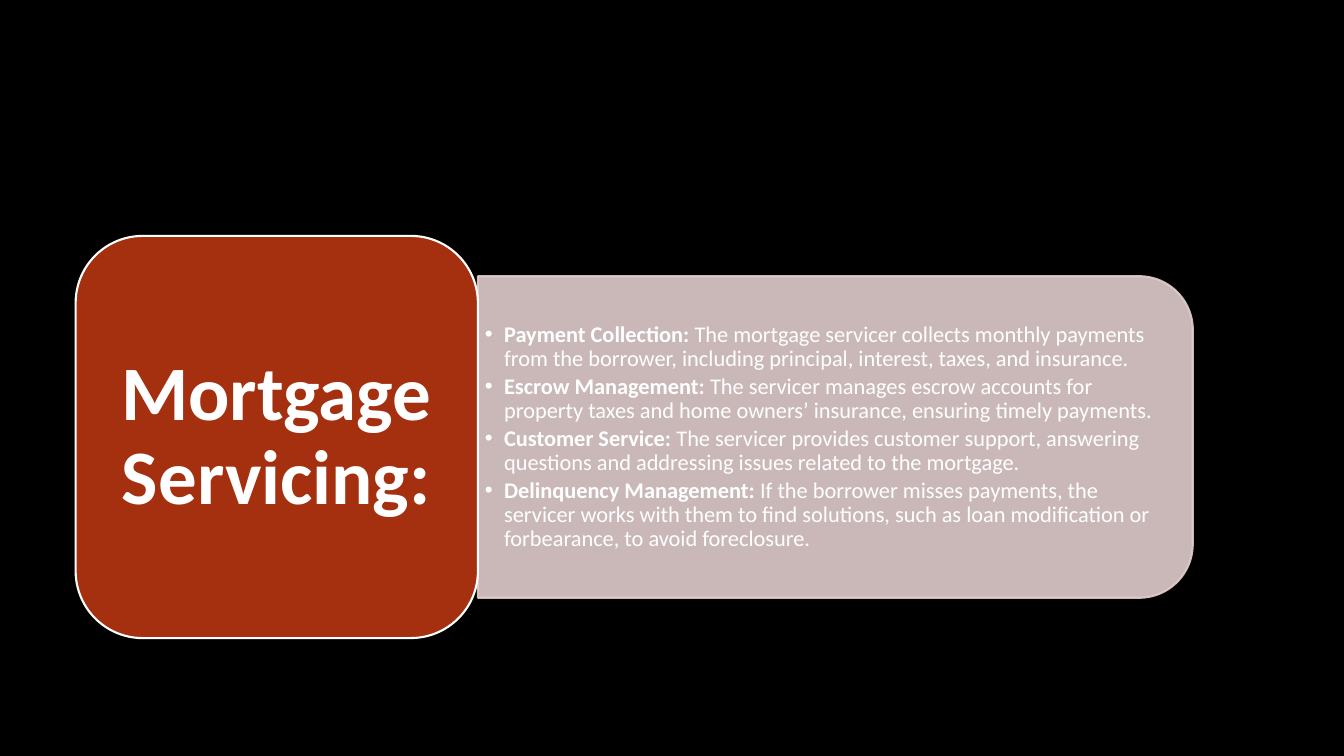
"""Builds the mortgage servicing slide: a title card beside a panel of duties."""
import lxml.etree
import pptx
import pptx.dml.color
import pptx.enum.shapes
import pptx.enum.text
import pptx.oxml.ns
import pptx.util

Inches = pptx.util.Inches
Pt = pptx.util.Pt
qn = pptx.oxml.ns.qn
SHAPES = pptx.enum.shapes.MSO_SHAPE
ALIGN = pptx.enum.text.PP_ALIGN
RGBColor = pptx.dml.color.RGBColor

BLACK = RGBColor(0x00, 0x00, 0x00)
WHITE = RGBColor(0xFF, 0xFF, 0xFF)
RUST = RGBColor(0xA5, 0x30, 0x0F)
BLUSH = RGBColor(0xE1, 0xCD, 0xCC)
FONT = "Calibri"

DUTIES = [
    ("Payment Collection:", " The mortgage servicer collects monthly payments from the borrower, "
     "including principal, interest, taxes, and insurance."),
    ("Escrow Management:", " The servicer manages escrow accounts for property taxes and "
     "home owners’ insurance, ensuring timely payments."),
    ("Customer Service:", " The servicer provides customer support, answering questions and "
     "addressing issues related to the mortgage."),
    ("Delinquency Management:", " If the borrower misses payments, the servicer works with them to "
     "find solutions, such as loan modification or forbearance, to avoid foreclosure."),
]


def set_opacity(fill, percent):
    """Give a solid fill's colour an opacity."""
    for colour in fill.iter(qn("a:srgbClr")):
        lxml.etree.SubElement(colour, qn("a:alpha"), val=str(percent * 1000))


def add_panel(slide, kind, box, fill, line, rotation=0, opacity=100):
    """Add a filled and outlined shape."""
    panel = slide.shapes.add_shape(kind, *map(Inches, box))
    panel.shadow.inherit = False
    panel.rotation = rotation
    panel.fill.solid()
    panel.fill.fore_color.rgb = fill
    panel.line.color.rgb = line
    panel.line.width = Pt(1.5)
    if opacity < 100:
        set_opacity(panel._element.spPr, opacity)


def set_frame(frame, side, end):
    """Set wrapping, middle anchoring and insets of a text frame."""
    frame.word_wrap = True
    frame.auto_size = pptx.enum.text.MSO_AUTO_SIZE.NONE
    frame.vertical_anchor = pptx.enum.text.MSO_ANCHOR.MIDDLE
    frame.margin_left = frame.margin_right = Inches(side)
    frame.margin_top = frame.margin_bottom = Inches(end)


def add_run(paragraph, text, size, bold=False, color=WHITE):
    """Add a formatted run to a paragraph."""
    run = paragraph.add_run()
    run.text = text
    run.font.name = FONT
    run.font.size = Pt(size)
    run.font.bold = bold
    run.font.color.rgb = color


def set_bullet(paragraph, indent):
    """Give a paragraph a hanging round bullet."""
    properties = paragraph._p.get_or_add_pPr()
    properties.set("marL", str(Inches(indent)))
    properties.set("indent", str(-Inches(indent)))
    lxml.etree.SubElement(properties, qn("a:buFont"), typeface="Arial")
    lxml.etree.SubElement(properties, qn("a:buChar"), char="•")


def place_title(slide, text, box):
    """Move the title placeholder onto the front of the card and fill it."""
    title = slide.shapes.title
    title._element.getparent().append(title._element)
    title.left, title.top, title.width, title.height = map(Inches, box)
    set_frame(title.text_frame, 0.23, 0.11)
    heading = title.text_frame.paragraphs[0]
    heading.alignment = ALIGN.CENTER
    heading.line_spacing = 0.9
    add_run(heading, text, 55, bold=True)


def add_duties(slide, duties, box):
    """Add the bulleted list of duties."""
    frame = slide.shapes.add_textbox(*map(Inches, box)).text_frame
    set_frame(frame, 0.07, 0.03)
    for index, (name, detail) in enumerate(duties):
        duty = frame.add_paragraph() if index else frame.paragraphs[0]
        set_bullet(duty, 0.19)
        duty.alignment = ALIGN.LEFT
        duty.line_spacing = 0.9
        duty.space_after = Pt(2.6)
        add_run(duty, name, 16, bold=True)
        add_run(duty, detail, 16)


def main():
    """Build and save the slide."""
    deck = pptx.Presentation()
    deck.slide_width, deck.slide_height = Inches(13.33), Inches(7.5)
    slide = deck.slides.add_slide(deck.slide_layouts[5])
    slide.background.fill.solid()
    slide.background.fill.fore_color.rgb = BLACK

    add_panel(slide, SHAPES.ROUND_2_SAME_RECTANGLE, (6.69, 0.79, 3.19, 7.09),
              BLUSH, BLUSH, rotation=90, opacity=90)
    add_duties(slide, DUTIES, (4.74, 2.9, 6.94, 2.88))
    add_panel(slide, SHAPES.ROUNDED_RECTANGLE, (0.75, 2.34, 3.99, 3.99), RUST, WHITE)
    place_title(slide, "Mortgage Servicing:", (0.94, 2.54, 3.6, 3.6))
    deck.save("out.pptx")


if __name__ == "__main__":
    main()
